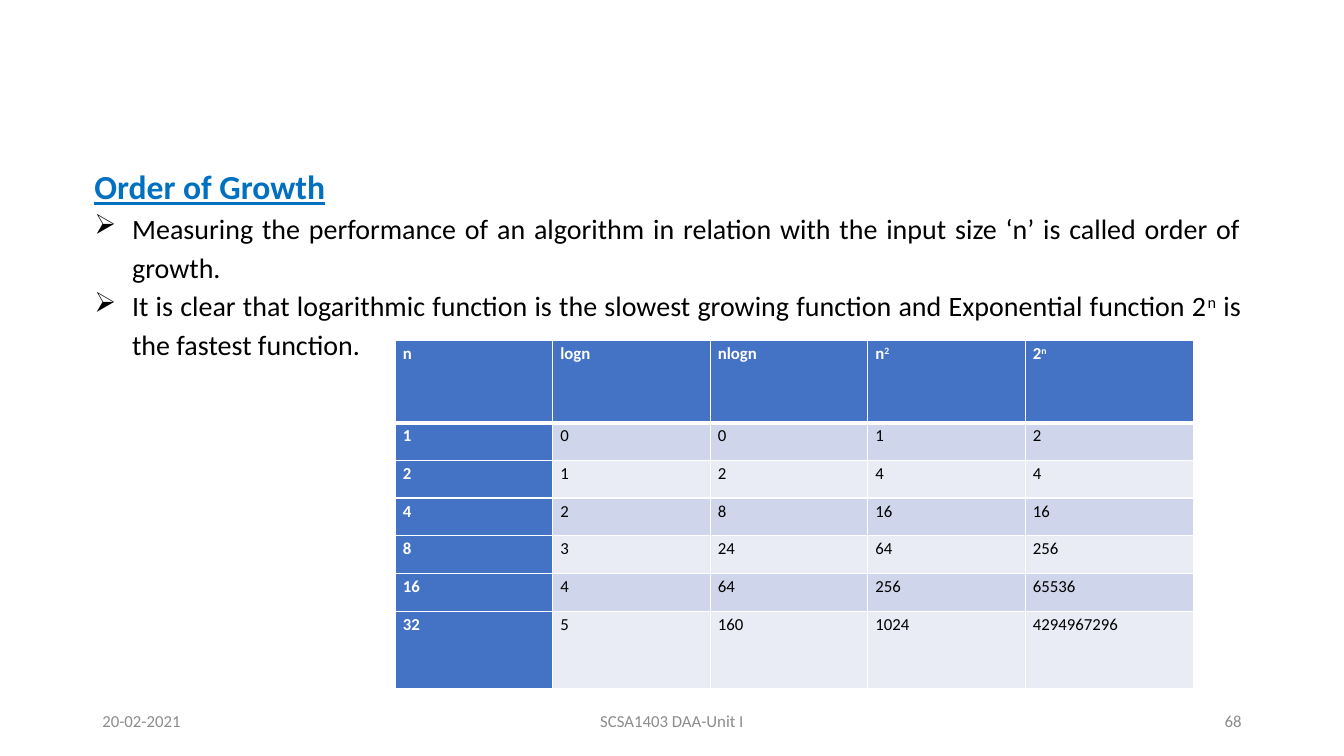
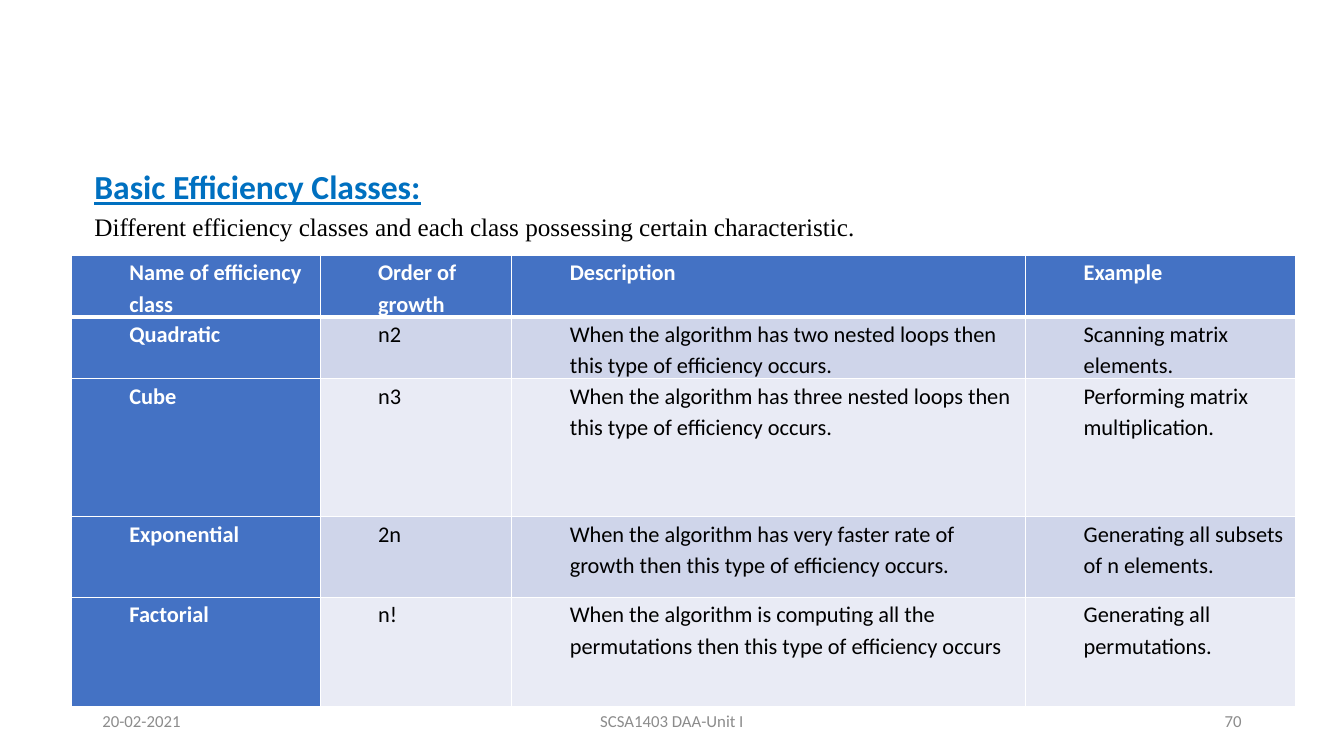
import pptx
import pptx.util
import pptx.dml.color
import pptx.enum.text
import pptx.oxml
import pptx.oxml.ns
import lxml.etree

Cm = pptx.util.Cm
Pt = pptx.util.Pt
ALIGN = pptx.enum.text.PP_ALIGN

COLORS = {
    "heading": "0070C0",
    "body": "000000",
    "footer": "8C8C8C",
    "accent": "4472C4",
    "band_dark": "CFD5EA",
    "band_light": "E9EBF5",
    "white": "FFFFFF",
}
LINE_SPACING = 1.15

FOOTERS = [  # left, width, alignment
    (2.33, 7.62, ALIGN.LEFT),
    (11.22, 11.43, ALIGN.CENTER),
    (23.92, 7.62, ALIGN.RIGHT),
]

# Text between carets is superscript: "2^n^ is"
PAGES = [
    {
        "number": "68",
        "heading": "Order of Growth",
        "body": [
            "Measuring the performance of an algorithm in relation with the input size ‘n’ "
            "is called order of growth.",
            "It is clear that logarithmic function is the slowest growing function and "
            "Exponential function 2^n^ is the fastest function.",
        ],
        "body_style": {"size": 20},
        "bullets": True,
        "body_height": 9.73,
        "table_at": (9.96, 8.59),
        "columns": [3.97] * 4 + [4.24],
        "row_heights": [2.06] + [0.95] * 5 + [1.96],
        "cell_style": {"size": 12, "align": ALIGN.JUSTIFY},
        "cell_indent": 0,
        "cell_space_after": 10,
        "rows": [
            ["n", "logn", "nlogn", "n^2", "2^n"],
            ["1", "0", "0", "1", "2"],
            ["2", "1", "2", "4", "4"],
            ["4", "2", "8", "16", "16"],
            ["8", "3", "24", "64", "256"],
            ["16", "4", "64", "256", "65536"],
            ["32", "5", "160", "1024", "4294967296"],
        ],
    },
    {
        "number": "70",
        "heading": "Basic Efficiency Classes:",
        "body": ["Different efficiency classes and each class possessing certain characteristic."],
        "body_style": {"size": 18, "face": "Times New Roman"},
        "bullets": False,
        "body_height": 3.43,
        "table_at": (1.8, 6.43),
        "columns": [6.27, 4.83, 12.95, 6.81],
        "row_heights": [1.47, 1.47, 3.48, 2.03, 2.74],
        "cell_style": {"size": 16},
        "cell_indent": 1.27,
        "cell_space_after": 0,
        "rows": [
            ["Name of efficiency class", "Order of growth", "Description", "Example"],
            ["Quadratic", "n2",
             "When the algorithm has two nested loops then this type of efficiency occurs.",
             "Scanning matrix elements."],
            ["Cube", "n3",
             "When the algorithm has three nested loops then this type of efficiency occurs.",
             "Performing matrix multiplication."],
            ["Exponential", "2n",
             "When the algorithm has very faster rate of growth then this type of efficiency occurs.",
             "Generating all subsets of n elements."],
            ["Factorial", "nǃ",
             "When the algorithm is computing all the permutations then this type of efficiency occurs",
             "Generating all permutations."],
        ],
    },
]


def write(paragraph, text, size, color="body", bold=False, face="Calibri", align=ALIGN.LEFT):
    """Fill a paragraph; pieces between carets become superscript."""
    for index, piece in enumerate(text.split("^")):
        if piece:
            run = paragraph.add_run()
            run.text = piece
            if index % 2:
                run._r.get_or_add_rPr().set("baseline", "30000")
    paragraph.alignment = align
    paragraph.font.size = Pt(size)
    paragraph.font.name = face
    paragraph.font.bold = bold
    paragraph.font.color.rgb = pptx.dml.color.RGBColor.from_string(COLORS[color])


def add_border(cell, side, points):
    line = lxml.etree.SubElement(cell._tc.get_or_add_tcPr(), pptx.oxml.ns.qn(f"a:ln{side}"),
                                 w=str(Pt(points)))
    fill = lxml.etree.SubElement(line, pptx.oxml.ns.qn("a:solidFill"))
    lxml.etree.SubElement(fill, pptx.oxml.ns.qn("a:srgbClr"), val=COLORS["white"])


deck = pptx.Presentation()
deck.slide_width, deck.slide_height = Cm(33.87), Cm(19.05)

for page in PAGES:
    slide = deck.slides.add_slide(deck.slide_layouts[6])

    footer_texts = ["20-02-2021", "SCSA1403 DAA-Unit I", page["number"]]
    for (left, width, align), text in zip(FOOTERS, footer_texts):
        footer = slide.shapes.add_textbox(Cm(left), Cm(17.66), Cm(width), Cm(1.01)).text_frame
        footer.word_wrap = True
        footer.vertical_anchor = pptx.enum.text.MSO_ANCHOR.MIDDLE
        write(footer.paragraphs[0], text, 12, "footer", align=align)

    body = slide.shapes.add_textbox(Cm(2.13), Cm(3.91), Cm(29.39), Cm(page["body_height"])).text_frame
    body.word_wrap = True
    heading = body.paragraphs[0]
    write(heading, page["heading"], 24, "heading", bold=True, align=ALIGN.JUSTIFY)
    heading.font.underline = True
    heading.line_spacing = LINE_SPACING
    for text in page["body"]:
        point = body.add_paragraph()
        if page["bullets"]:
            properties = point._p.get_or_add_pPr()
            properties.set("marL", str(Cm(0.95)))
            properties.set("indent", str(Cm(-0.95)))
            lxml.etree.SubElement(properties, pptx.oxml.ns.qn("a:buChar"), char="➢")
        write(point, text, align=ALIGN.JUSTIFY, **page["body_style"])
        point.line_spacing = LINE_SPACING

    rows, columns, heights = page["rows"], page["columns"], page["row_heights"]
    left, top = page["table_at"]
    table = slide.shapes.add_table(len(rows), len(columns), Cm(left), Cm(top),
                                   Cm(sum(columns)), Cm(sum(heights))).table
    table.first_col = True
    for column, width in zip(table.columns, columns):
        column.width = Cm(width)
    for r, (texts, height) in enumerate(zip(rows, heights)):
        table.rows[r].height = Cm(height)
        for c, text in enumerate(texts):
            cell = table.cell(r, c)
            is_header = r == 0 or c == 0
            cell.margin_left = cell.margin_right = Cm(0.19)
            cell.margin_top = cell.margin_bottom = 0
            for side in "LRTB":
                under_header = (r, side) in [(0, "B"), (1, "T")]
                add_border(cell, side, 3 if under_header else 1)
            band = "accent" if is_header else "band_dark" if r % 2 else "band_light"
            cell.fill.solid()
            cell.fill.fore_color.rgb = pptx.dml.color.RGBColor.from_string(COLORS[band])

            entry = cell.text_frame.paragraphs[0]
            write(entry, text, color="white" if is_header else "body", bold=is_header,
                  **page["cell_style"])
            entry.line_spacing = LINE_SPACING
            entry.space_after = Pt(page["cell_space_after"])
            entry._p.get_or_add_pPr().set("marL", str(Cm(page["cell_indent"])))

deck.save("out.pptx")
